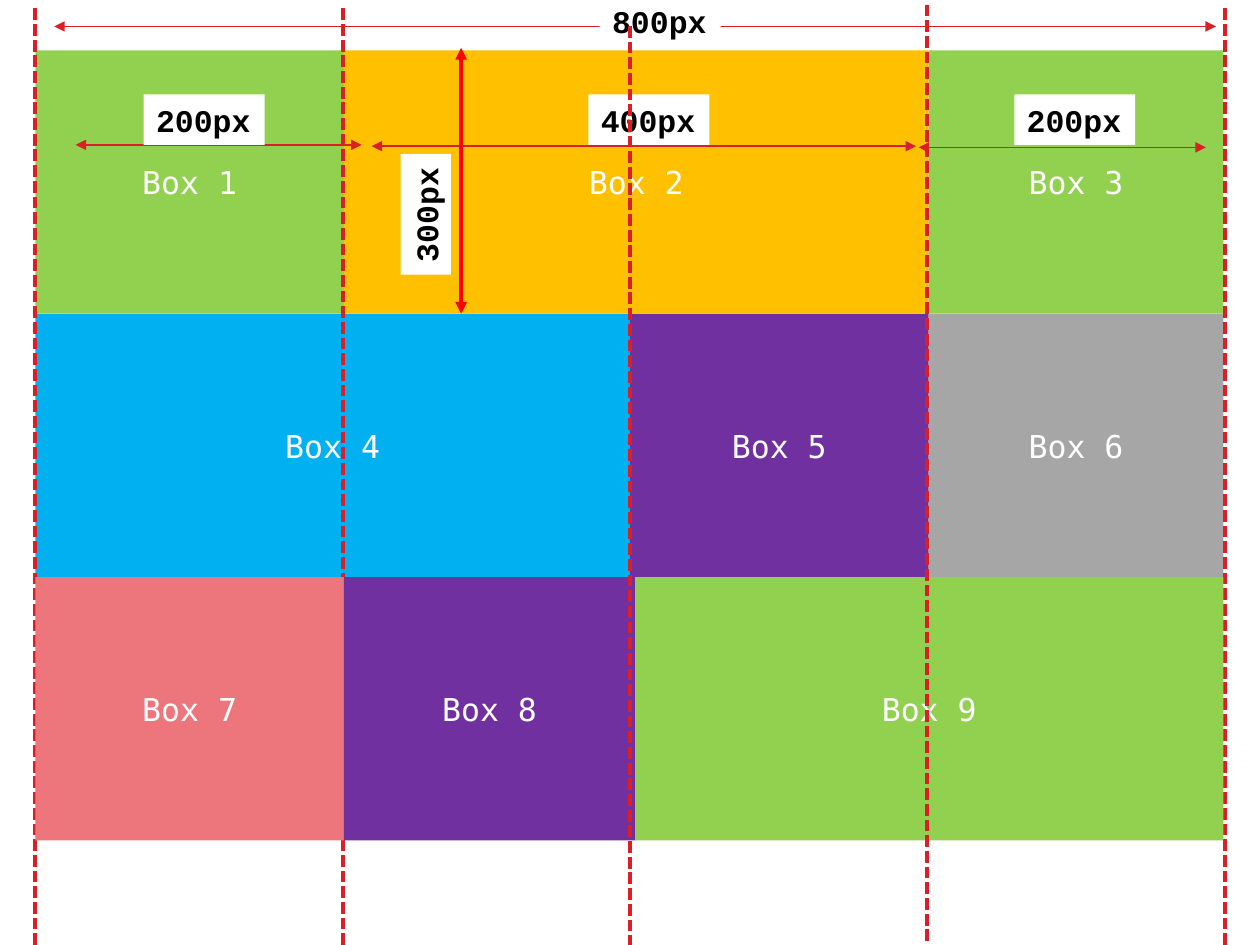
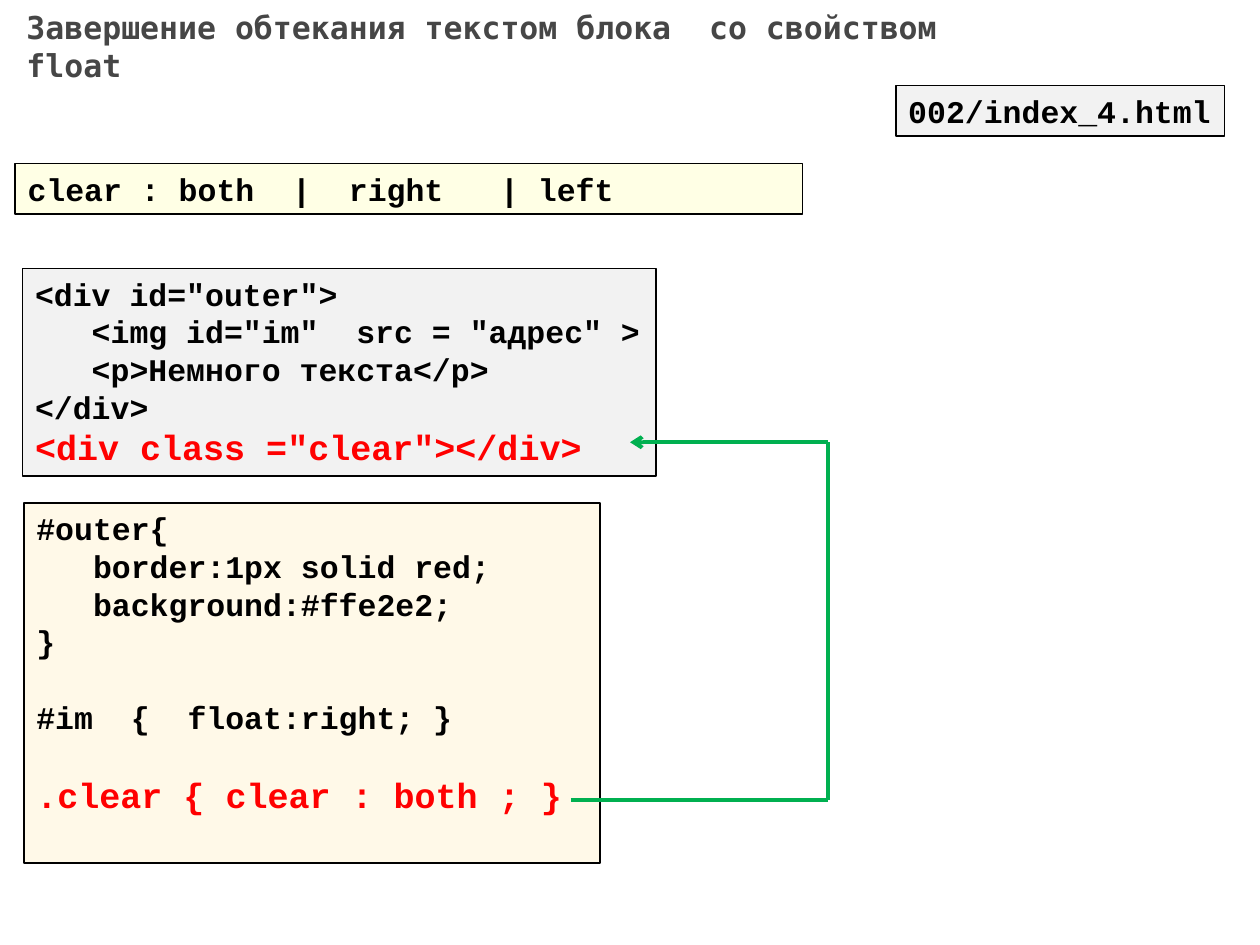
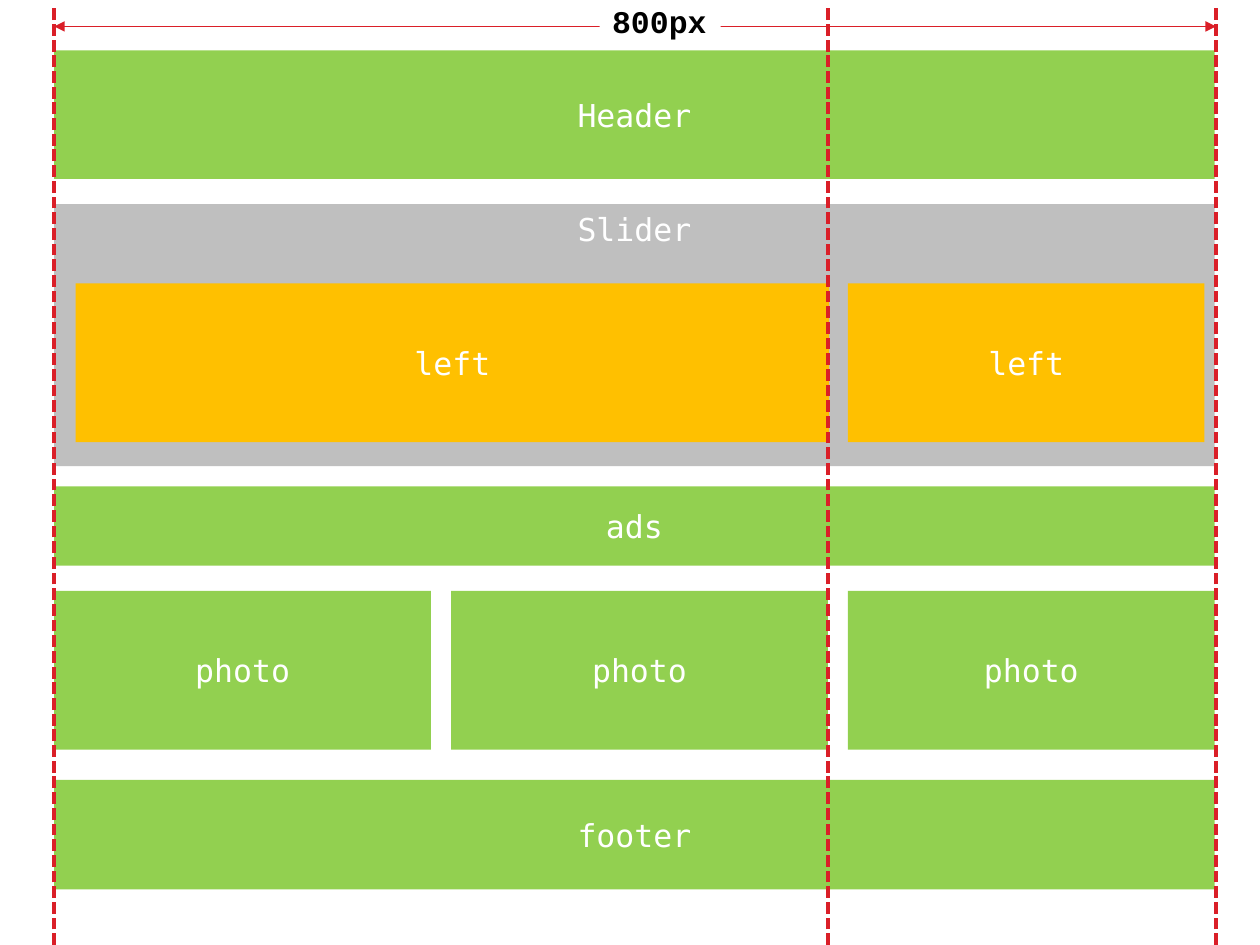
from dataclasses import dataclass
from itertools import pairwise

from lxml import etree
from pptx import Presentation
from pptx import util as u
from pptx.dml.color import RGBColor
from pptx.enum import dml, shapes, text
from pptx.oxml import ns


@dataclass(frozen=True)
class Theme:
    sans: str = "DejaVu Sans Mono"
    code: str = "Courier New"
    size: int = 18
    accent_size: int = 20
    leading: float = 1.2
    white: str = "FFFFFF"
    black: str = "000000"
    title: str = "464646"
    green: str = "92D050"
    amber: str = "FFC000"
    blue: str = "00B0F0"
    purple: str = "7030A0"
    grey: str = "A6A6A6"
    silver: str = "BFBFBF"
    pale: str = "F2F2F2"
    pink: str = "EC767C"
    yellow: str = "FFFF00"
    guide: str = "DA1F28"
    red: str = "FF0000"
    route: str = "00B050"


@dataclass(frozen=True)
class CodeLine:
    words: str
    indent: int = 0
    accent: bool = False
    gap: int = 0


THEME = Theme()
COLUMNS, ROWS = 100, 75
LAYOUT_TITLE_ONLY, LAYOUT_BLANK = 5, 6
GUIDE_TOP, GUIDE_HEIGHT = 0.5, 74.5
BOTH_ENDS = {"headEnd": "triangle", "tailEnd": "triangle"}


def apply_format(target, values):
    for name, value in values.items():
        setattr(target, name, value)


class Deck:
    """Holds the style and the current slide; lengths are grid columns and rows."""

    def __init__(self, theme):
        self.theme = theme
        self.presentation = Presentation()
        self.presentation.slide_width = u.Inches(10)
        self.presentation.slide_height = u.Inches(7.5)
        self.slide = None

    def x(self, columns):
        return round(self.presentation.slide_width * columns / COLUMNS)

    def y(self, rows):
        return round(self.presentation.slide_height * rows / ROWS)

    def frame(self, left, top, width, height):
        return self.x(left), self.y(top), self.x(width), self.y(height)

    def new_slide(self, layout=LAYOUT_BLANK):
        layouts = self.presentation.slide_layouts
        self.slide = self.presentation.slides.add_slide(layouts[layout])

    # Text
    def add_words(self, paragraph, words, font, color, size=None, bold=False):
        run = paragraph.add_run()
        run.text = words
        apply_format(run.font, {"name": font, "size": u.Pt(size or self.theme.size), "bold": bold})
        run.font.color.rgb = RGBColor.from_string(color)

    def title(self, words, area):
        shape = self.slide.shapes.title
        apply_format(shape, dict(zip(("left", "top", "width", "height"), self.frame(*area))))
        apply_format(shape.text_frame, {
            "auto_size": text.MSO_AUTO_SIZE.NONE,
            "vertical_anchor": text.MSO_ANCHOR.MIDDLE,
            "word_wrap": True,
        })
        paragraph = shape.text_frame.paragraphs[0]
        apply_format(paragraph, {
            "alignment": text.PP_ALIGN.LEFT,
            "line_spacing": u.Pt(self.theme.size * self.theme.leading),
        })
        self.add_words(paragraph, words, self.theme.sans, self.theme.title, bold=True)

    # Filled rectangles
    def rectangle(self, area, fill, anchor, border=None, alpha=None):
        shape = self.slide.shapes.add_shape(shapes.MSO_SHAPE.RECTANGLE, *self.frame(*area))
        shape.shadow.inherit = False
        shape.fill.solid()
        shape.fill.fore_color.rgb = RGBColor.from_string(fill)
        if alpha:
            color = shape.element.spPr.find(f"{ns.qn('a:solidFill')}/{ns.qn('a:srgbClr')}")
            etree.SubElement(color, ns.qn("a:alpha"), val=str(alpha * 1000))
        if border:
            shape.line.color.rgb = RGBColor.from_string(self.theme.black)
            shape.line.width = u.Pt(border)
        else:
            shape.line.fill.background()
        apply_format(shape.text_frame, {"word_wrap": True, "vertical_anchor": anchor})
        return shape

    def box(self, area, words, fill, anchor=text.MSO_ANCHOR.MIDDLE):
        shape = self.rectangle(area, fill, anchor)
        paragraph = shape.text_frame.paragraphs[0]
        paragraph.alignment = text.PP_ALIGN.CENTER
        self.add_words(paragraph, words, self.theme.sans, self.theme.white)

    def code(self, area, lines, fill, border=None, alpha=None):
        theme = self.theme
        shape = self.rectangle(area, fill, text.MSO_ANCHOR.TOP, border, alpha)
        frame = shape.text_frame
        for number, line in enumerate(lines):
            paragraph = frame.add_paragraph() if number else frame.paragraphs[0]
            size = theme.accent_size if line.accent else theme.size
            apply_format(paragraph, {
                "alignment": text.PP_ALIGN.LEFT,
                "line_spacing": u.Pt(size * theme.leading),
                "space_before": u.Pt(line.gap * theme.size * theme.leading),
            })
            if line.indent:
                margin = u.Pt(line.indent * theme.size * 0.6)
                paragraph._p.get_or_add_pPr().set("marL", str(margin))
            color = theme.red if line.accent else theme.black
            self.add_words(paragraph, line.words, theme.code, color, size, bold=True)
        return shape

    def label(self, left, top, words, rotation=0):
        shape = self.code((left, top, 9.6, 4), [CodeLine(words)], self.theme.white)
        shape.rotation = rotation

    # Lines
    def line(self, start, end, color, width, dash=None, ends=None):
        connector = self.slide.shapes.add_connector(
            shapes.MSO_CONNECTOR.STRAIGHT,
            self.x(start[0]), self.y(start[1]), self.x(end[0]), self.y(end[1]))
        connector.line.color.rgb = RGBColor.from_string(color)
        connector.line.width = u.Pt(width)
        if dash:
            connector.line.dash_style = dash
        properties = connector.element.spPr
        outline = properties.find(ns.qn("a:ln"))
        for name, kind in (ends or {}).items():
            etree.SubElement(outline, ns.qn(f"a:{name}"), type=kind)
        etree.SubElement(properties, ns.qn("a:effectLst"))

    def guide(self, column, top=GUIDE_TOP):
        self.line((column, top + GUIDE_HEIGHT), (column, top), self.theme.guide, 2.25,
                  dash=dml.MSO_LINE.SQUARE_DOT)

    def measure(self, left, right, row, words, label_at):
        self.line((left, row), (right, row), self.theme.guide, 0.75, ends=BOTH_ENDS)
        self.label(*label_at, words)

    def page_width(self):
        self.measure(4.3, 96.5, 2.1, "800px", (47.6, -0.3))

    def route(self, points, color):
        legs = list(pairwise(points))
        for leg in legs:
            self.line(*leg, color, 2.25, ends={"tailEnd": "arrow"} if leg == legs[-1] else None)


def box_grid_slide(deck):
    theme = deck.theme
    deck.new_slide()
    top, height = 4, 20.9
    edges = (2.8, 27.3, 50, 73.7, 97.1)
    lower_edges = (2.8, 27.3, 50.4, 73.7, 97.1)

    def box_row(row, columns, spans):
        for offset, (first, last, fill) in enumerate(spans):
            left = columns[first]
            area = (left, top + row * height, columns[last] - left, height)
            deck.box(area, f"Box {row * 3 + offset + 1}", fill)

    # Upper two rows and their guides
    box_row(0, edges, [(0, 1, theme.green), (1, 3, theme.amber), (3, 4, theme.green)])
    box_row(1, edges, [(0, 2, theme.blue), (2, 3, theme.purple), (3, 4, theme.grey)])
    for column in (2.8, 97.2):
        deck.guide(column)

    # Dimensions
    deck.page_width()
    deck.measure(6, 28.7, 11.5, "200px", (11.4, 7.5))
    deck.measure(29.5, 72.7, 11.6, "400px", (46.7, 7.5))
    deck.measure(72.9, 95.7, 11.7, "200px", (80.5, 7.5))
    deck.guide(27.2)
    deck.line((36.6, 3.8), (36.6, 24.9), theme.red, 2.25, ends=BOTH_ENDS)
    deck.label(29, 15, "300px", rotation=270)

    # Bottom row covers the left guides
    box_row(2, lower_edges, [(0, 1, theme.pink), (1, 2, theme.purple), (2, 4, theme.green)])
    deck.guide(73.6, top=0.2)
    deck.guide(50, top=1.9)


def clear_slide(deck):
    theme = deck.theme
    deck.new_slide(LAYOUT_TITLE_ONLY)
    deck.title("Завершение обтекания текстом блока  со свойством float", (1.1, 1.3, 76.5, 4.7))

    # Markup and style rules
    deck.code((1.8, 21.3, 50.3, 16.5), [
        CodeLine('<div id="outer">'),
        CodeLine('<img id="im"  src = "адрес" >', indent=3),
        CodeLine("<p>Немного текста</p>", indent=3),
        CodeLine("</div>"),
        CodeLine('<div class ="clear"></div>', accent=True),
    ], theme.pale, border=1)
    deck.code((1.9, 39.9, 45.7, 28.6), [
        CodeLine("#outer{"),
        CodeLine("border:1px solid red;", indent=3),
        CodeLine("background:#ffe2e2;", indent=3),
        CodeLine("}"),
        CodeLine("#im  {  float:right; }", gap=1),
        CodeLine(".clear { clear : both ; }", accent=True, gap=1),
    ], theme.amber, border=1, alpha=9)

    # Syntax and file name
    deck.code((1.2, 13, 62.5, 4), [CodeLine("clear : both  |  right   | left")],
              theme.yellow, border=0.75, alpha=10)
    deck.code((71.1, 6.8, 26.1, 4), [CodeLine("002/index_4.html")], theme.pale, border=1)

    # Arrow from the rule to the element it styles
    deck.route([(45.3, 63.5), (65.7, 63.5), (65.7, 35.1), (50, 35.1)], theme.route)


def page_layout_slide(deck):
    theme = deck.theme
    deck.new_slide()
    left, width = 4.3, 92.1

    # Full-width bands
    for words, top, height, fill, anchor in (
        ("Header", 4, 10.2, theme.green, text.MSO_ANCHOR.MIDDLE),
        ("Slider", 16.2, 20.8, theme.silver, text.MSO_ANCHOR.TOP),
        ("ads", 38.6, 6.3, theme.green, text.MSO_ANCHOR.MIDDLE),
        ("footer", 61.9, 8.7, theme.green, text.MSO_ANCHOR.MIDDLE),
    ):
        deck.box((left, top, width, height), words, fill, anchor)

    # Photos and slider panes
    for number, photo_width in enumerate((29.9, 29.9, 29.1)):
        deck.box((left + number * 31.5, 46.9, photo_width, 12.6), "photo", theme.green)
    for pane_left, pane_width in ((6, 59.8), (67.3, 28.3)):
        deck.box((pane_left, 22.5, pane_width, 12.6), "left", theme.amber)

    # Guides and page width
    for column in (65.7, 4.3, 96.5):
        deck.guide(column)
    deck.page_width()


def main():
    deck = Deck(THEME)
    for build_slide in (box_grid_slide, clear_slide, page_layout_slide):
        build_slide(deck)
    deck.presentation.save("out.pptx")


if __name__ == "__main__":
    main()
